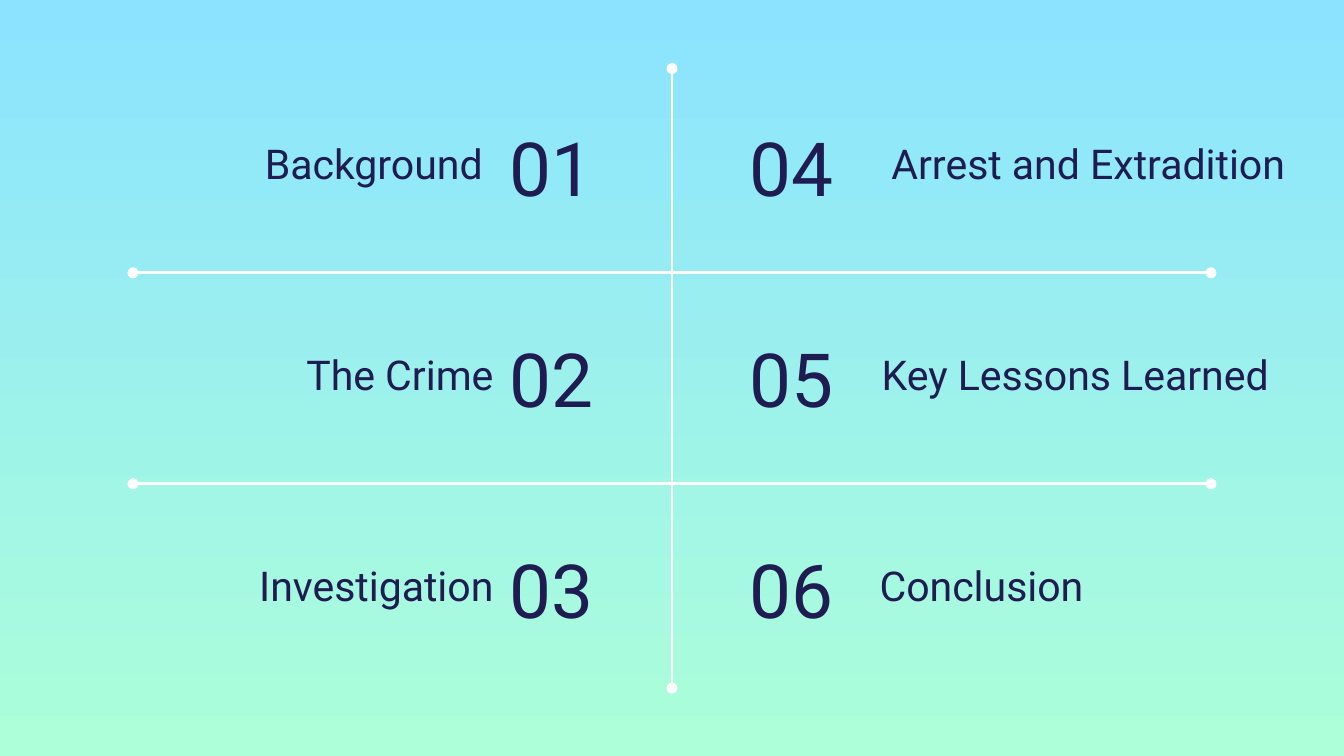
"""Build an agenda slide with six numbered topics around a line grid."""
from lxml.etree import SubElement
from pptx import Presentation
from pptx.dml.color import RGBColor
from pptx.enum.shapes import MSO_CONNECTOR
from pptx.enum.text import MSO_ANCHOR, PP_ALIGN
from pptx.oxml.ns import qn
from pptx.util import Inches, Pt

COLORS = {"sky": "8BE3FF", "mint": "ACFFD9", "navy": "1F1C51", "white": "FFFFFF"}
FONT = "Roboto"
PITCH = 1.57
NUMBER_TOP, NUMBER_W, NUMBER_H = 0.81, 1.3, 0.86
LABEL_BOTTOM = 1.5
COLUMNS = [
    (3.69, PP_ALIGN.LEFT, [
        ("01", "Background", 0.71, 2.98, 0.5),
        ("02", "The Crime", 0.79, 2.98, 0.5),
        ("03", "Investigation", 0.79, 2.98, 0.5),
    ]),
    (5, PP_ALIGN.RIGHT, [
        ("04", "Arrest and Extradition", 6.31, 3.35, 0.61),
        ("05", "Key Lessons Learned", 6.31, 3.23, 0.5),
        ("06", "Conclusion", 6.31, 1.85, 0.5),
    ]),
]
RULES = [
    (5, 0.51, 5, 5.12),
    (0.99, 2.03, 9.01, 2.03),
    (0.99, 2.03 + PITCH, 9.01, 2.03 + PITCH),
]


def set_background(s):
    """Fill the slide with a top-to-bottom gradient."""
    fill = s.background.fill
    fill.gradient()
    fill.gradient_angle = 270
    for stop, position, name in zip(fill.gradient_stops, (0, 1), ("sky", "mint")):
        stop.position = position
        stop.color.rgb = RGBColor.from_string(COLORS[name])


def add_rule(s, x1, y1, x2, y2):
    """Add a white line with a round dot at each end."""
    line = s.shapes.add_connector(
        MSO_CONNECTOR.STRAIGHT, Inches(x1), Inches(y1), Inches(x2), Inches(y2))
    line.line.color.rgb = RGBColor.from_string(COLORS["white"])
    line.line.width = Pt(1.5)
    ln = line.line._get_or_add_ln()
    for end in ("a:headEnd", "a:tailEnd"):
        SubElement(ln, qn(end), type="oval", w="med", len="med")
    SubElement(line._element.spPr, qn("a:effectLst"))


def add_text(s, text, left, top, width, height, size, align, anchor):
    """Add a text box holding one navy run."""
    sp = s.shapes.add_textbox(Inches(left), Inches(top), Inches(width), Inches(height))
    tf = sp.text_frame
    tf.word_wrap = True
    tf.vertical_anchor = anchor
    tf.margin_left = tf.margin_right = tf.margin_top = tf.margin_bottom = Inches(0.1)
    p = tf.paragraphs[0]
    p.alignment = align
    r = p.add_run()
    r.text = text
    r.font.name = FONT
    r.font.size = Pt(size)
    r.font.color.rgb = RGBColor.from_string(COLORS["navy"])


def add_column(s, number_left, number_align, topics):
    """Add one column of numbers with their topic labels."""
    for row, (number, label, left, width, height) in enumerate(topics):
        offset = row * PITCH
        add_text(s, number, number_left, NUMBER_TOP + offset, NUMBER_W, NUMBER_H,
                 40, number_align, MSO_ANCHOR.MIDDLE)
        add_text(s, label, left, LABEL_BOTTOM - height + offset, width, height,
                 22, PP_ALIGN.RIGHT, MSO_ANCHOR.BOTTOM)


def main():
    """Create the 16:9 slide and save it."""
    prs = Presentation()
    prs.slide_width = Inches(10)
    prs.slide_height = prs.slide_width * 9 // 16
    s = prs.slides.add_slide(prs.slide_layouts[6])
    set_background(s)
    for rule in RULES:
        add_rule(s, *rule)
    for column in COLUMNS:
        add_column(s, *column)
    prs.save("out.pptx")


if __name__ == "__main__":
    main()
